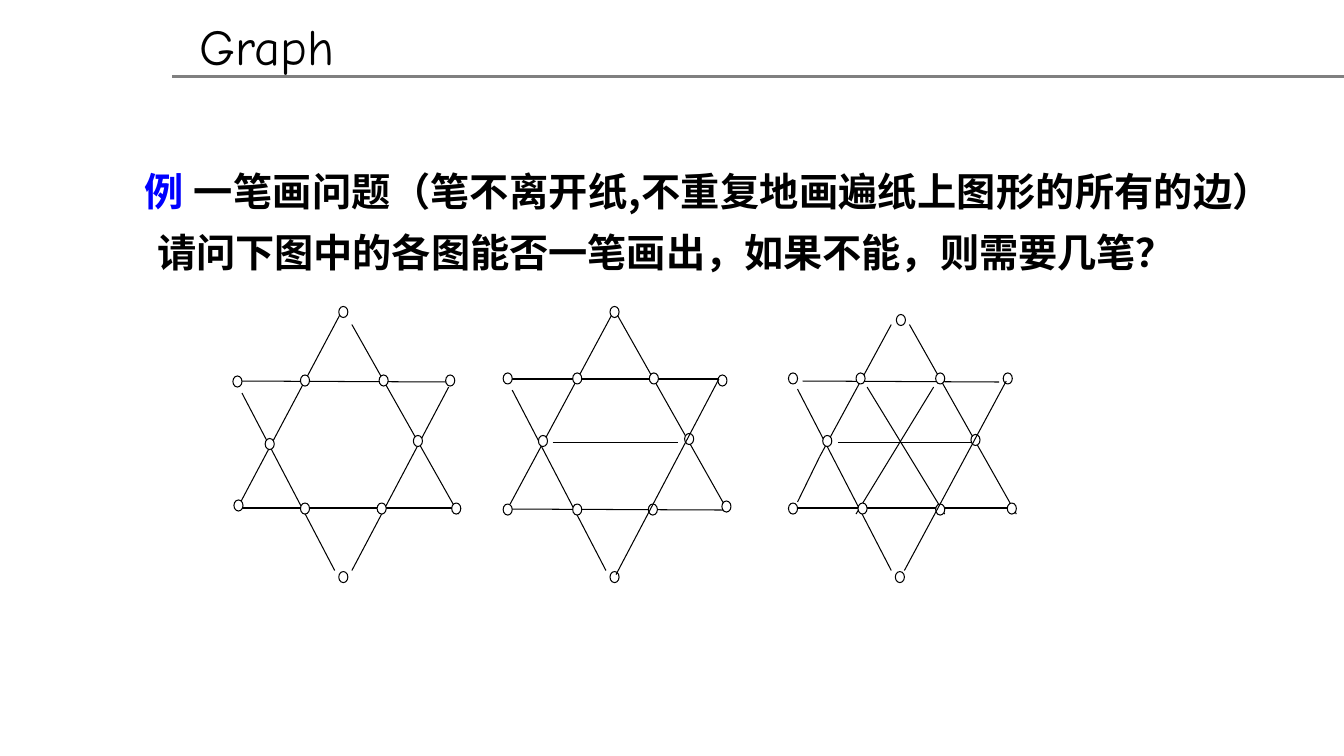
from dataclasses import dataclass

from lxml.etree import SubElement
from pptx import Presentation
from pptx.dml.color import RGBColor
from pptx.enum.shapes import MSO_CONNECTOR as Connector, MSO_SHAPE as Shape
from pptx.enum.text import PP_ALIGN as Align
from pptx.oxml.ns import qn
from pptx.util import Emu, Pt

PX = 9144  # 100 px to the inch


@dataclass(frozen=True)
class Theme:
    black: str = "000000"
    white: str = "FFFFFF"
    gray: str = "808080"
    mark_blue: str = "0000FF"
    title_font: str = "Comic Neue"
    body_font: str = "Noto Sans CJK SC"
    title_size: int = 36
    body_size: int = 28
    edge_width: float = 0.75
    rule_width: float = 2


@dataclass(frozen=True)
class Star:
    """Edges are (x1, y1, x2, y2); nodes are the (left, top) of their rings."""
    edges: list
    nodes: list
    edges_in_front: tuple = ()


STARS = [
    Star(
        edges=[(235, 378, 447, 379), (238, 504, 451, 504), (341, 305, 235, 505),
               (240, 390, 332, 566), (349, 322, 455, 510), (445, 384, 349, 566)],
        nodes=[(336, 304), (231, 373), (298, 372), (376, 372), (442, 372),
               (263, 435), (410, 432),
               (232, 496), (298, 499), (374, 499), (448, 499), (336, 567)],
    ),
    Star(
        edges=[(504, 376, 717, 376), (506, 505, 719, 506), (607, 312, 506, 500),
               (508, 387, 601, 566), (612, 312, 718, 500), (548, 439, 672, 439)],
        nodes=[(605, 304), (499, 370), (568, 370), (644, 370), (712, 372),
               (534, 432), (679, 430),
               (499, 500), (568, 500), (643, 500), (716, 497), (605, 567)],
        edges_in_front=((713, 376, 611, 570),),
    ),
    Star(
        edges=[(796, 378, 991, 379), (791, 504, 1003, 504), (884, 322, 813, 453),
               (813, 453, 791, 498), (791, 386, 884, 566), (902, 322, 1008, 510),
               (831, 439, 972, 439), (860, 384, 937, 510), (926, 384, 849, 510)],
        nodes=[(889, 312), (782, 370), (849, 370), (928, 370), (995, 370),
               (816, 432), (963, 431),
               (782, 499), (851, 499), (928, 500), (999, 499), (888, 567)],
        edges_in_front=((998, 378, 897, 566),),
    ),
]


class Painter:
    def __init__(self, slide, theme):
        self.slide, self.theme = slide, theme

    def text_box(self, left, top, width, height):
        """Add an empty box and return its first paragraph."""
        box = self.slide.shapes.add_textbox(*(Emu(n * PX) for n in (left, top, width, height)))
        box.text_frame.word_wrap = True
        return box.text_frame.paragraphs[0]

    def span(self, para, text, font, size, color, bold=False):
        span = para.add_run()
        span.text = text
        span.font.name, span.font.size, span.font.bold = font, Pt(size), bold
        span.font.color.rgb = RGBColor.from_string(color)
        SubElement(span.font._element, qn("a:ea")).set("typeface", font)

    def line(self, shapes, ends, color, width):
        line = shapes.add_connector(Connector.STRAIGHT, *(Emu(n * PX) for n in ends))
        line.line.color.rgb = RGBColor.from_string(color)
        line.line.width = Pt(width)
        SubElement(line._element.spPr, qn("a:effectLst"))

    def node(self, shapes, left, top):
        ring = shapes.add_shape(Shape.OVAL, *(Emu(n * PX) for n in (left, top, 9, 11)))
        ring.shadow.inherit = False
        ring.fill.solid()
        ring.fill.fore_color.rgb = RGBColor.from_string(self.theme.white)
        ring.line.color.rgb = RGBColor.from_string(self.theme.black)
        ring.line.width = Pt(self.theme.edge_width)

    def edges(self, shapes, edges):
        for ends in edges:
            self.line(shapes, ends, self.theme.black, self.theme.edge_width)

    def star(self, star):
        shapes = self.slide.shapes.add_group_shape().shapes
        self.edges(shapes, star.edges)
        for left, top in star.nodes:
            self.node(shapes, left, top)
        self.edges(shapes, star.edges_in_front)


def main():
    deck = Presentation()
    deck.slide_width, deck.slide_height = Emu(1333 * PX), Emu(750 * PX)
    theme = Theme()
    slide = deck.slides.add_slide(deck.slide_layouts[6])
    painter = Painter(slide, theme)

    painter.line(slide.shapes, (171, 76, 1333, 76), theme.gray, theme.rule_width)
    title = painter.text_box(188, 10, 862, 71)
    painter.span(title, "Graph", theme.title_font, theme.title_size, theme.black)

    question = painter.text_box(108, 147, 1164, 598)
    question.alignment = Align.JUSTIFY
    question.line_spacing = 1.3
    question.space_before = Pt(5.6)
    props = question._p.get_or_add_pPr()
    props.set("marL", str(38 * PX))
    props.set("indent", str(-12 * PX))
    for text, color in (
        ("例 ", theme.mark_blue),
        ("一笔画问题（笔不离开纸,不重复地画遍纸上图形的所有的边） "
         "请问下图中的各图能否一笔画出，如果不能，则需要几笔？", theme.black),
    ):
        painter.span(question, text, theme.body_font, theme.body_size, color, bold=True)

    for star in STARS:
        painter.star(star)
    deck.save("out.pptx")


if __name__ == "__main__":
    main()
